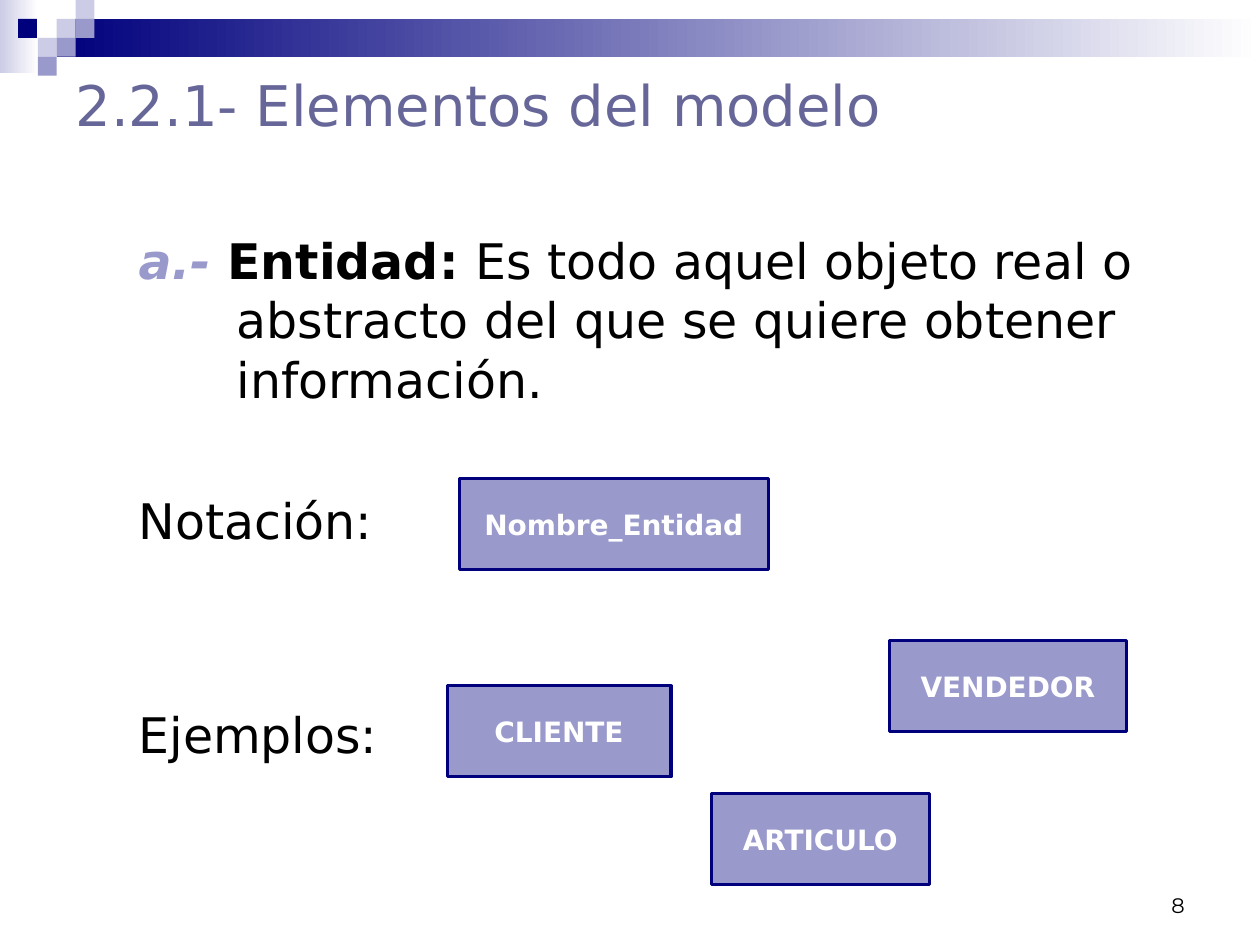
from lxml import etree
from pptx import Presentation
from pptx.dml.color import RGBColor
from pptx.enum.shapes import MSO_SHAPE
from pptx.enum.text import MSO_ANCHOR, MSO_AUTO_SIZE, PP_ALIGN
from pptx.oxml.ns import qn
from pptx.util import Pt

RECTANGLE = MSO_SHAPE.RECTANGLE
MIDDLE, BOTTOM, TOP = MSO_ANCHOR.MIDDLE, MSO_ANCHOR.BOTTOM, MSO_ANCHOR.TOP
LEFT, CENTER, RIGHT = PP_ALIGN.LEFT, PP_ALIGN.CENTER, PP_ALIGN.RIGHT
NO_FIT = MSO_AUTO_SIZE.NONE

NAVY = RGBColor(0x00, 0x00, 0x7D)
LAVENDER = RGBColor(0x99, 0x99, 0xCC)
PALE = RGBColor(0xCC, 0xCC, 0xE6)
SLATE = RGBColor(0x66, 0x66, 0x99)
WHITE = RGBColor(0xFF, 0xFF, 0xFF)
BLACK = RGBColor(0x00, 0x00, 0x00)
SANS, NUMBER_FONT = "DejaVu Sans", "Montserrat"


def place(shape, box):
    """Move a shape to a (left, top, width, height) box in points."""
    shape.left, shape.top, shape.width, shape.height = map(Pt, box)


def add_run(paragraph, text, size, color, bold=False, italic=False, font=SANS):
    """Append one formatted run."""
    run = paragraph.add_run()
    run.text = text
    run.font.name, run.font.size = font, Pt(size)
    run.font.bold, run.font.italic = bold, italic
    run.font.color.rgb = color


def add_rectangle(slide, box, color, fade=False):
    """Add a borderless rectangle, solid or fading to white."""
    rectangle = slide.shapes.add_shape(RECTANGLE, *map(Pt, box))
    rectangle.shadow.inherit = False
    rectangle.line.fill.background()
    if fade:
        rectangle.fill.gradient()
        rectangle.fill.gradient_angle = 0
        for stop, shade in zip(rectangle.fill.gradient_stops, (color, WHITE)):
            stop.color.rgb = shade
    else:
        rectangle.fill.solid()
        rectangle.fill.fore_color.rgb = color
    return rectangle


def add_banner(slide, box):
    """Draw the fading bar and the mosaic of squares at its left end."""
    left, top, width, height = box
    cell = height / 4
    add_rectangle(slide, (left, top, 22, height - 1.5), PALE, fade=True)
    bar_left = 3 * cell
    add_rectangle(slide, (left + bar_left, top + cell, width - bar_left, 2 * cell),
                  NAVY, fade=True)
    mosaic = [(3, 1, PALE), (4, 0, PALE), (4, 1, LAVENDER), (2, 2, PALE),
              (1, 1, NAVY), (3, 2, LAVENDER), (2, 3, LAVENDER)]
    for column, row, color in mosaic:
        add_rectangle(slide, (left + (column - 1) * cell + 10.3 if column == 1
                              else left + (column) * cell, top + row * cell,
                              cell, cell), color)


def fill_title(slide, box):
    """Write the heading in the title placeholder."""
    title = slide.shapes.title
    place(title, box)
    frame = title.text_frame
    frame.auto_size, frame.vertical_anchor = NO_FIT, MIDDLE
    heading = frame.paragraphs[0]
    heading.alignment = LEFT
    add_run(heading, "2.2.1- Elementos del modelo", 32, SLATE)


def fill_body(slide, box):
    """Write the definition and the two captions in the body placeholder."""
    body = slide.placeholders[1]
    place(body, box)
    frame = body.text_frame
    frame.auto_size, frame.vertical_anchor = NO_FIT, TOP
    frame.margin_top = Pt(44.5)
    definition = [
        ("a.- ", LAVENDER, True, True),
        ("Entidad: ", BLACK, True, False),
        ("Es todo aquel objeto real o abstracto del que se quiere obtener "
         "información.", BLACK, False, False),
    ]
    entries = [(0, definition),
               (47, [("Notación:", BLACK, False, False)]),
               (88, [("Ejemplos:", BLACK, False, False)])]
    for index, (gap, runs) in enumerate(entries):
        entry = frame.add_paragraph() if index else frame.paragraphs[0]
        entry.level, entry.alignment = 1, LEFT
        entry.space_before, entry.space_after = Pt(gap), Pt(0)
        entry.line_spacing = Pt(33.9)
        properties = entry._p.get_or_add_pPr()
        properties.set("marL", str(Pt(92.2)))
        properties.set("indent", str(Pt(-56.2)))
        etree.SubElement(properties, qn("a:buNone"))
        for text, color, bold, italic in runs:
            add_run(entry, text, 28, color, bold, italic)


def add_entity(slide, box, name):
    """Draw an entity box with its name."""
    entity = add_rectangle(slide, box, LAVENDER)
    entity.line.color.rgb = NAVY
    entity.line.width = Pt(1.76)
    frame = entity.text_frame
    frame.word_wrap, frame.vertical_anchor = True, MIDDLE
    label = frame.paragraphs[0]
    label.alignment = CENTER
    add_run(label, name, 16, WHITE, bold=True)


def add_page_number(slide, box):
    """Write the page number at the lower right."""
    frame = slide.shapes.add_textbox(*map(Pt, box)).text_frame
    frame.word_wrap, frame.vertical_anchor = True, BOTTOM
    number = frame.paragraphs[0]
    number.alignment = RIGHT
    add_run(number, "8", 12, BLACK, font=NUMBER_FONT)


def build_entity_slide(presentation):
    """Build the slide that defines an entity."""
    slide = presentation.slides.add_slide(presentation.slide_layouts[1])
    add_banner(slide, (0, 0, 720, 43.2))
    add_page_number(slide, (516, 492, 168, 36))
    fill_title(slide, (36, 47.5, 648, 24))
    fill_body(slide, (36, 87, 648, 433.5))
    entities = [("Nombre_Entidad", 262.5, 273.5, 176.5),
                ("ARTICULO", 406.5, 453.5, 124.5),
                ("VENDEDOR", 508.25, 366.25, 135.5),
                ("CLIENTE", 255.5, 392, 128)]
    for name, left, top, width in entities:
        add_entity(slide, (left, top, width, 52), name)


presentation = Presentation()
presentation.slide_width, presentation.slide_height = Pt(720), Pt(540)
build_entity_slide(presentation)
presentation.save("out.pptx")
